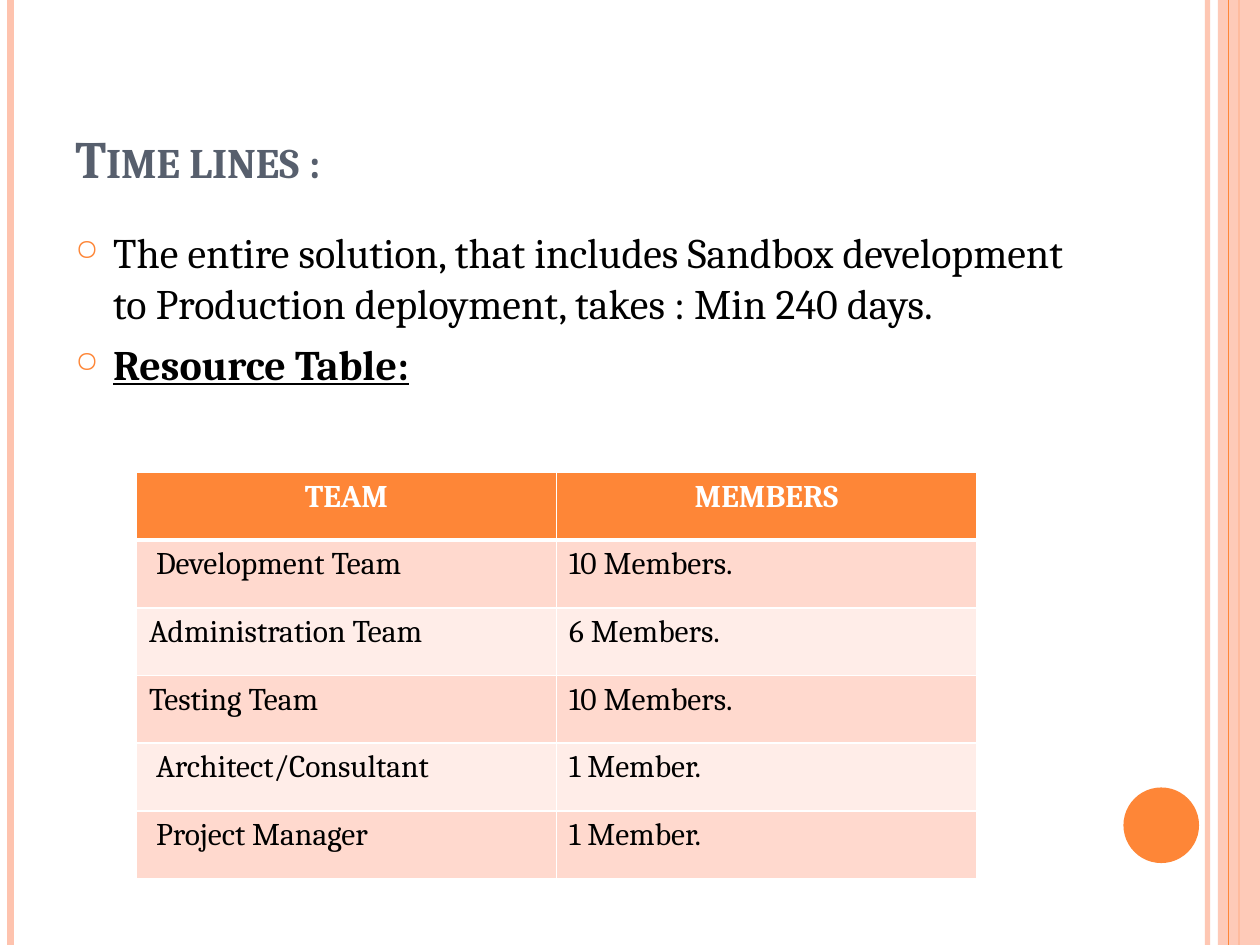
from lxml.etree import SubElement
from pptx import Presentation
from pptx.dml.color import RGBColor
from pptx.enum.shapes import MSO_CONNECTOR, MSO_SHAPE
from pptx.enum.text import MSO_ANCHOR, PP_ALIGN
from pptx.oxml.ns import qn
from pptx.util import Pt

FONT = "Cambria"
ORANGE = RGBColor(0xFE, 0x86, 0x37)
PEACH = RGBColor(0xFE, 0xC3, 0xAE)
BAND_DARK = RGBColor(0xFF, 0xD9, 0xCE)
BAND_LIGHT = RGBColor(0xFF, 0xED, 0xE8)
SLATE = RGBColor(0x57, 0x5F, 0x6D)
BLACK = RGBColor(0, 0, 0)
WHITE = RGBColor(0xFF, 0xFF, 0xFF)

RESOURCES = [
    ("TEAM", "MEMBERS"),
    (" Development Team", "10 Members."),
    ("Administration Team", "6 Members."),
    ("Testing Team", "10 Members."),
    (" Architect/Consultant", "1 Member."),
    (" Project Manager", "1 Member."),
]


def set_alpha(color_parent, percent):
    color = color_parent.find(".//" + qn("a:srgbClr"))
    SubElement(color, qn("a:alpha"), val=str(percent * 1000))


def style_run(run, size, color, bold=False):
    run.font.name = FONT
    run.font.size = Pt(size)
    run.font.bold = bold
    run.font.color.rgb = color


def add_stripe(slide, x, top, height, color, weight, opacity=100):
    stripe = slide.shapes.add_connector(
        MSO_CONNECTOR.STRAIGHT, Pt(x), Pt(top), Pt(x), Pt(top + height))
    stripe.line.color.rgb = color
    stripe.line.width = Pt(weight)
    properties = stripe.line._get_or_add_ln().getparent()
    SubElement(properties, qn("a:effectLst"))
    if opacity < 100:
        set_alpha(properties, opacity)


def add_solid(slide, preset, left, top, width, height, color):
    solid = slide.shapes.add_shape(
        preset, Pt(left), Pt(top), Pt(width), Pt(height))
    solid.shadow.inherit = False
    solid.fill.solid()
    solid.fill.fore_color.rgb = color
    solid.line.fill.background()
    return solid


def add_frame(slide, left, top, width, height):
    right = left + width
    add_stripe(slide, right - 30, top, height, PEACH, 3, 93)
    add_stripe(slide, left + 6, top, height, PEACH, 4.5)
    add_stripe(slide, right - 12, top, height, ORANGE, 1.5)
    band = add_solid(slide, MSO_SHAPE.RECTANGLE,
                     right - 24, top, 24, height, PEACH)
    set_alpha(band.fill._xPr, 87)
    add_stripe(slide, right - 18, top, height, ORANGE, 0.75)
    add_solid(slide, MSO_SHAPE.OVAL,
              right - 78, top + height - 90, 43.2, 43.2, ORANGE)


def add_text_frame(slide, left, top, width, height):
    box = slide.shapes.add_textbox(Pt(left), Pt(top), Pt(width), Pt(height))
    box.text_frame.word_wrap = True
    return box.text_frame


def add_title(slide, left, top, width, height):
    title = add_text_frame(slide, left, top, width, height)
    title.vertical_anchor = MSO_ANCHOR.BOTTOM
    title.text = "Time lines :"
    run = title.paragraphs[0].runs[0]
    style_run(run, 30, SLATE, bold=True)
    run.font._element.set("cap", "small")


def add_bullet(paragraph):
    paragraph.space_before = Pt(6)
    properties = paragraph._p.get_or_add_pPr()
    properties.set("marL", str(Pt(21.6)))
    properties.set("indent", str(-Pt(21.6)))
    bullet_color = SubElement(properties, qn("a:buClr"))
    SubElement(bullet_color, qn("a:srgbClr"), val=str(ORANGE))
    SubElement(properties, qn("a:buSzPct"), val="70000")
    SubElement(properties, qn("a:buChar"), char="○")


def add_summary(slide, left, top, width, height):
    summary = add_text_frame(slide, left, top, width, height)
    summary.text = (
        "The entire solution, that includes Sandbox development to "
        "Production deployment, takes : Min 240 days.\nResource Table:")
    for paragraph in summary.paragraphs:
        add_bullet(paragraph)
        style_run(paragraph.runs[0], 24, BLACK)
    heading = summary.paragraphs[1].runs[0]
    heading.font.bold = True
    heading.font.underline = True


def add_borders(cell, bottom_weight, top_weight):
    properties = cell._tc.get_or_add_tcPr()
    weights = {"lnL": 1, "lnR": 1, "lnT": top_weight, "lnB": bottom_weight}
    for side, weight in weights.items():
        border = SubElement(properties, qn("a:" + side), w=str(Pt(weight)))
        fill = SubElement(border, qn("a:solidFill"))
        SubElement(fill, qn("a:srgbClr"), val=str(WHITE))


def add_resource_table(slide, left, top, width, height):
    table = slide.shapes.add_table(
        len(RESOURCES), len(RESOURCES[0]),
        Pt(left), Pt(top), Pt(width), Pt(height)).table
    for row_index, row in enumerate(RESOURCES):
        table.rows[row_index].height = Pt(height / len(RESOURCES))
        is_header = row_index == 0
        band = BAND_DARK if row_index % 2 else BAND_LIGHT
        for column_index, entry in enumerate(row):
            cell = table.cell(row_index, column_index)
            add_borders(cell, 3 if is_header else 1, 3 if row_index == 1 else 1)
            cell.fill.solid()
            cell.fill.fore_color.rgb = ORANGE if is_header else band
            cell.text = entry
            paragraph = cell.text_frame.paragraphs[0]
            paragraph.alignment = PP_ALIGN.CENTER if is_header else PP_ALIGN.LEFT
            style_run(paragraph.runs[0], 18,
                      WHITE if is_header else BLACK, bold=is_header)


def main():
    presentation = Presentation()
    presentation.slide_width = Pt(720)
    presentation.slide_height = Pt(540)
    slide = presentation.slides.add_slide(presentation.slide_layouts[6])
    add_frame(slide, 0, 0, 720, 540)
    add_title(slide, 36, 21.6, 588, 90)
    add_summary(slide, 36, 126, 588, 384)
    add_resource_table(slide, 78, 270, 480, 232)
    presentation.save("out.pptx")


if __name__ == "__main__":
    main()
